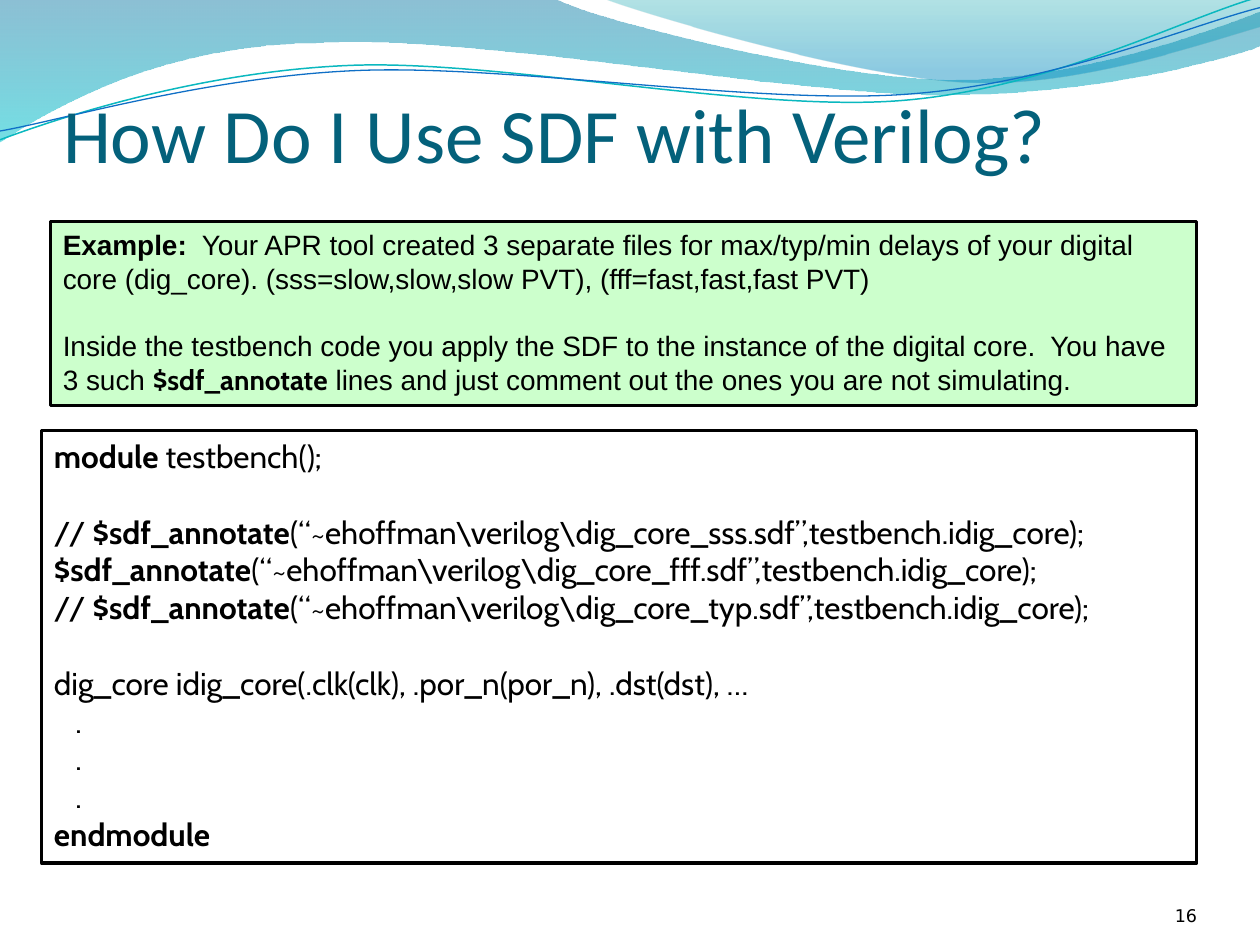
from math import cos, radians, sin

from lxml import etree
from pptx import Presentation
from pptx.dml.color import RGBColor
from pptx.enum.shapes import MSO_SHAPE
from pptx.enum.text import MSO_ANCHOR, MSO_AUTO_SIZE, PP_ALIGN
from pptx.oxml.ns import qn
from pptx.util import Inches, Pt

RECT = MSO_SHAPE.RECTANGLE
TOP, BOTTOM = MSO_ANCHOR.TOP, MSO_ANCHOR.BOTTOM
LEFT, RIGHT = PP_ALIGN.LEFT, PP_ALIGN.RIGHT
NO_FIT = MSO_AUTO_SIZE.NONE

BLACK = RGBColor(0x00, 0x00, 0x00)
TITLE_BLUE = RGBColor(0x04, 0x61, 0x7B)
PALE_GREEN = RGBColor(0xCC, 0xFF, 0xCC)
TEAL = RGBColor(0x0A, 0xB8, 0xBF)
BLUE = RGBColor(0x0F, 0x6F, 0xC6)

# Content: each paragraph is (runs, blank lines above, left indent);
# each run is (text, format values)
TITLE = "How Do I Use SDF with Verilog?"
NUMBER = "16"
BOLD = {"bold": True}
CALL = ("$sdf_annotate", BOLD)


def annotate(corner, prefix=""):
    args = f"(“~ehoffman\\verilog\\dig_core_{corner}.sdf”,testbench.idig_core);"
    return ([(prefix, {})] if prefix else []) + [CALL, (args, {})]


CODE = [
    ([("module", BOLD), (" testbench();", {})], 0, 0),
    (annotate("sss", "// "), 1, 0),
    (annotate("fff"), 0, 0),
    (annotate("typ", "// "), 0, 0),
    ([("dig_core idig_core(.clk(clk), .por_n(por_n), .dst(dst), …", {})], 1, 0),
    *[([(".", {})], 0, 0.17)] * 3,
    ([("endmodule", BOLD)], 0, 0),
]
EXAMPLE = [
    ([("Example:", BOLD),
      ("  Your APR tool created 3 separate files for max/typ/min delays of your "
       "digital core (dig_core). (sss=slow,slow,slow PVT), "
       "(fff=fast,fast,fast PVT)", {})], 0, 0),
    ([("Inside the testbench code you apply the SDF to the instance of the "
       "digital core.  You have 3 such ", {}),
      ("$sdf_annotate", {"bold": True, "name": "Cabin"}),
      (" lines and just comment out the ones you are not simulating.", {})], 1, 0),
]

# Waves: a step of 2 numbers is a straight line, a step of 6 a Bezier curve
BANDS = [
    ((-0.01, -0.01, 10.02, 1.14),
     [(0, -0.01), (4.4, -0.01), (4.76, 0.17, 6.64, 0.63, 7.58, 0.63),
      (8.53, 0.63, 9.58, 0.26, 10, 0.09), (10.01, 0.36),
      (9.83, 0.44, 8.7, 0.76, 7.46, 0.75), (6.22, 0.75, 3.82, 0.28, 2.57, 0.34),
      (1.29, 0.35, 0.46, 0.83, -0.01, 1.13), (0, -0.01)],
     [(0, "0074A1", 45), (100, "00C6CF", 55)]),
    ((4.79, -0.01, 5.21, 0.7),
     [(4.79, -0.01), (5.09, 0.11, 6.82, 0.62, 7.69, 0.65),
      (8.56, 0.69, 9.61, 0.32, 10, 0.21), (10, 0), (4.79, -0.01)],
     [(0, "00A1A9", 30), (80, "008BBF", 45)]),
]
STRANDS = [
    ((-0.02, 0.22, 10.02, 0.71),
     [(0, 1.11), (0.48, 0.93, 1.58, 0.57, 2.77, 0.52),
      (3.95, 0.47, 5.93, 0.89, 7.13, 0.8), (8.33, 0.71, 9.38, 0.15, 9.98, -0.02)],
     TEAL, 0.85),
    ((-0.02, 0.3, 10.03, 0.58),
     [(0, 1.04), (0.47, 0.96, 1.64, 0.61, 2.83, 0.56),
      (4.03, 0.51, 5.97, 0.83, 7.17, 0.75), (8.36, 0.67, 9.41, 0.21, 10, 0.06)],
     BLUE, 0.75),
]
STRAND_TURN = -2.7


def add_wave(shapes, box, steps, turn=0, close=False):
    """Freeform whose steps are slide positions after turning about its centre."""
    x, y, w, h = box
    builder = shapes.build_freeform(Inches(x), Inches(y))
    builder.add_line_segments([(Inches(x + w), Inches(y + h))], close=False)
    sp = builder.convert_to_shape()
    sp.shadow.inherit = False
    sp.fill.background()
    sp.rotation = turn % 360

    outline = next(sp.element.iter(qn("a:path")))
    for child in list(outline):
        outline.remove(child)
    c, d = cos(radians(-turn)), sin(radians(-turn))
    for i, step in enumerate(steps):
        tag = "a:cubicBezTo" if len(step) == 6 else "a:lnTo" if i else "a:moveTo"
        segment = etree.SubElement(outline, qn(tag))
        for px, py in zip(step[::2], step[1::2]):
            dx, dy = px - x - w / 2, py - y - h / 2
            etree.SubElement(segment, qn("a:pt"),
                             x=str(Inches(dx * c - dy * d + w / 2)),
                             y=str(Inches(dx * d + dy * c + h / 2)))
    if close:
        etree.SubElement(outline, qn("a:close"))
    return sp


def fill_gradient(sp, stops):
    """Vertical gradient with an opacity at each stop."""
    grad = etree.Element(qn("a:gradFill"), rotWithShape="1")
    stop_list = etree.SubElement(grad, qn("a:gsLst"))
    for pos, color, opacity in stops:
        stop = etree.SubElement(stop_list, qn("a:gs"), pos=str(pos * 1000))
        rgb = etree.SubElement(stop, qn("a:srgbClr"), val=color)
        etree.SubElement(rgb, qn("a:alpha"), val=str(opacity * 1000))
    etree.SubElement(grad, qn("a:lin"), ang="5400000", scaled="0")
    no_fill = sp.element.spPr.find(qn("a:noFill"))
    sp.element.spPr.replace(no_fill, grad)


def set_values(target, values):
    for name, value in values.items():
        setattr(target, name, value)


def add_run(p, text, color, values):
    r = p.add_run()
    r.text = text
    r.font.color.rgb = color
    set_values(r.font, values)


def add_box(shapes, box, paragraphs, font, size, line_height, fill=None):
    sp = shapes.add_shape(RECT, *map(Inches, box))
    sp.shadow.inherit = False
    if fill is None:
        sp.fill.background()
    else:
        sp.fill.solid()
        sp.fill.fore_color.rgb = fill
    sp.line.color.rgb = BLACK
    sp.line.width = Pt(1.75)
    tf = sp.text_frame
    set_values(tf, {"word_wrap": True, "vertical_anchor": TOP, "auto_size": NO_FIT})
    for i, (runs, blank_lines, indent) in enumerate(paragraphs):
        p = tf.add_paragraph() if i else tf.paragraphs[0]
        set_values(p, {"alignment": LEFT, "space_before": Pt(blank_lines * line_height)})
        if indent:
            p._p.get_or_add_pPr().set("marL", str(Inches(indent)))
        for text, values in runs:
            add_run(p, text, BLACK,
                    {"name": font, "size": Pt(size), "bold": False, **values})


def set_label(sp, box, text, align, color, values, top_inset=0):
    set_values(sp, dict(zip(("left", "top", "width", "height"), map(Inches, box))))
    tf = sp.text_frame
    set_values(tf, {"word_wrap": True, "vertical_anchor": BOTTOM, "auto_size": NO_FIT,
                    "margin_left": 0, "margin_right": 0, "margin_bottom": 0,
                    "margin_top": Inches(top_inset)})
    p = tf.paragraphs[0]
    p.alignment = align
    add_run(p, text, color, values)


def main():
    prs = Presentation()
    prs.slide_width, prs.slide_height = Inches(10), Inches(7.5)
    s = prs.slides.add_slide(prs.slide_layouts[5])
    shapes = s.shapes

    # Wave decoration
    for box, steps, stops in BANDS:
        sp = add_wave(shapes, box, steps, close=True)
        fill_gradient(sp, stops)
        sp.line.fill.background()
    for box, steps, color, width in STRANDS:
        sp = add_wave(shapes, box, steps, STRAND_TURN)
        sp.line.color.rgb = color
        sp.line.width = Pt(width)

    # Title, in front of the waves
    title = shapes.title
    shapes.element.append(title.element)
    set_label(title, (0.5, 0.17, 9, 1.25), TITLE, LEFT, TITLE_BLUE,
              {"name": "Calibri", "size": Pt(44)}, top_inset=0.05)

    # Slide number
    number_box = (8.67, 6.95, 0.83, 0.4)
    number = shapes.add_textbox(*map(Inches, number_box))
    set_label(number, number_box, NUMBER, RIGHT, BLACK,
              {"name": "DejaVu Sans", "size": Pt(10)})

    # Code and example boxes
    add_box(shapes, (0.33, 3.42, 9.17, 3.43), CODE, "Cabin", 18, 21.6)
    add_box(shapes, (0.4, 1.76, 9.1, 1.46), EXAMPLE, "Arial", 16, 19.2, PALE_GREEN)

    prs.save("out.pptx")


if __name__ == "__main__":
    main()
